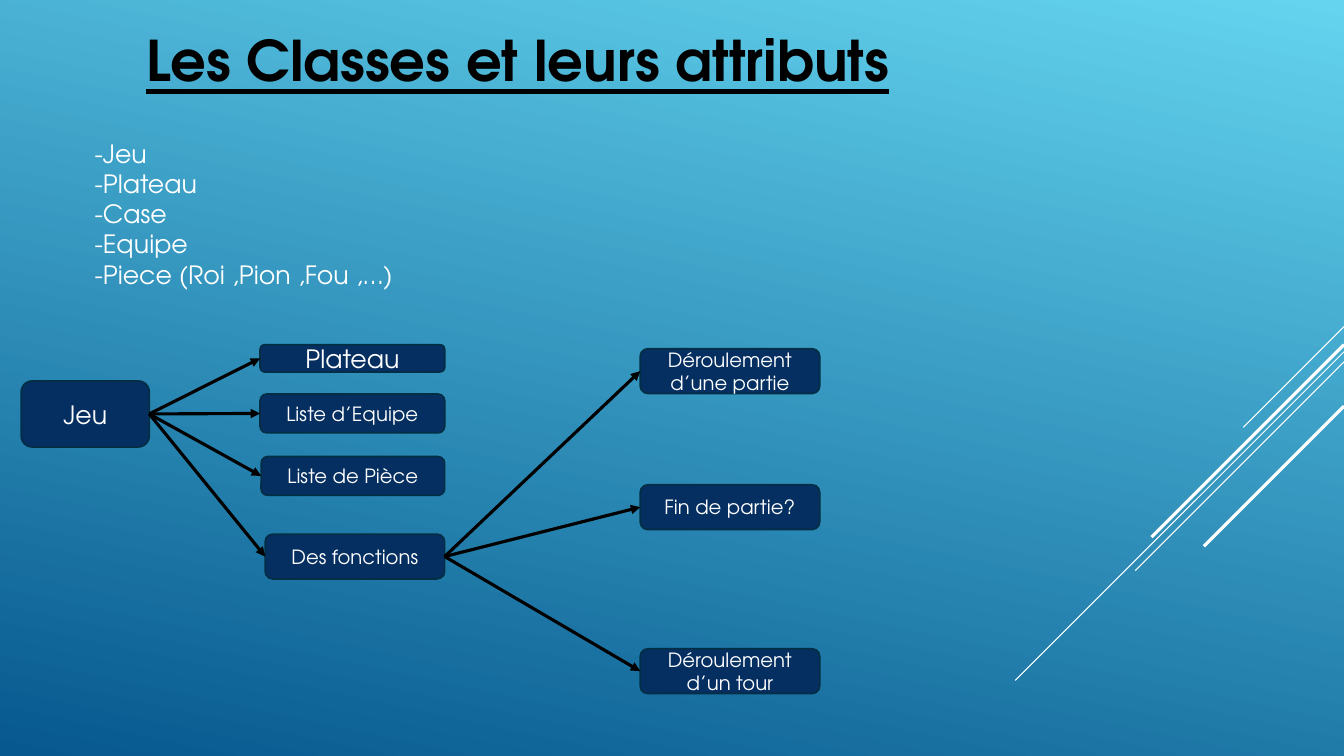
from dataclasses import dataclass

from lxml.etree import SubElement
from pptx import Presentation
from pptx.dml.color import RGBColor
from pptx.enum.shapes import MSO_CONNECTOR, MSO_SHAPE
from pptx.enum.text import MSO_ANCHOR, PP_ALIGN
from pptx.oxml.ns import qn
from pptx.util import Inches, Pt


@dataclass(frozen=True)
class Theme:
    font: str = "TeX Gyre Adventor"
    sky: str = "64D4EF"
    deep: str = "06588E"
    light: str = "FFFFFF"
    dark: str = "000000"
    node: str = "052F61"
    node_edge: str = "032E45"
    title: float = 40
    body: float = 18
    label: float = 14
    thin: float = 0.75
    edge: float = 1.25
    thick: float = 2.25


THEME = Theme()
LEFT_SITE, RIGHT_SITE = 1, 3


@dataclass(frozen=True)
class Box:
    left: int
    top: int
    width: int
    height: int

    def inner(self, left, top, width, height):
        """Return an inner box, given in percent of this one."""
        return Box(self.left + round(self.width * left / 100),
                   self.top + round(self.height * top / 100),
                   round(self.width * width / 100),
                   round(self.height * height / 100))

    def place(self):
        return self.left, self.top, self.width, self.height


def colour(code):
    return RGBColor.from_string(code)


def write(shape, text, size=THEME.body, ink=THEME.light, bold=False,
          underline=False, align=PP_ALIGN.LEFT, anchor=MSO_ANCHOR.TOP):
    frame = shape.text_frame
    frame.word_wrap = True
    frame.vertical_anchor = anchor
    frame.text = text
    for para in frame.paragraphs:
        para.alignment = align
        for span in para.runs:
            font = span.font
            font.name, font.size = THEME.font, Pt(size)
            font.bold, font.underline = bold, underline
            font.color.rgb = colour(ink)


def add_line(page, start, end, ink, weight):
    line = page.shapes.add_connector(MSO_CONNECTOR.STRAIGHT, *start, *end)
    line.line.color.rgb = colour(ink)
    line.line.width = Pt(weight)
    SubElement(line._element.spPr, qn("a:effectLst"))
    return line


def add_arrow(page, source, target):
    arrow = add_line(page, (0, 0), (0, 0), THEME.dark, THEME.thick)
    arrow.begin_connect(source, RIGHT_SITE)
    arrow.end_connect(target, LEFT_SITE)
    outline = arrow._element.spPr.find(qn("a:ln"))
    SubElement(outline, qn("a:tailEnd"), type="triangle")


def add_node(page, box, text, size=THEME.label):
    node = page.shapes.add_shape(MSO_SHAPE.ROUNDED_RECTANGLE, *box.place())
    node.shadow.inherit = False
    node.fill.solid()
    node.fill.fore_color.rgb = colour(THEME.node)
    node.line.color.rgb = colour(THEME.node_edge)
    node.line.width = Pt(THEME.edge)
    write(node, text, size=size, align=PP_ALIGN.CENTER,
          anchor=MSO_ANCHOR.MIDDLE)
    return node


def paint_background(page):
    fill = page.background.fill
    fill.gradient()
    fill.gradient_angle = 258
    for position, code in enumerate((THEME.sky, THEME.deep)):
        stop = fill.gradient_stops[position]
        stop.color.rgb = colour(code)
        stop.position = position


def draw_diagonals(page, box):
    """Draw 45 degree lines down from the right edge of the box."""
    right = box.left + box.width
    # Start and drop in percent of the box height
    for start, drop, weight in ((0, 28.49, THEME.thin),
                                (7.12, 92.88, THEME.thin),
                                (9.97, 59, THEME.thin),
                                (5.13, 54.4, THEME.thick),
                                (22.51, 39.6, THEME.thick)):
        top = box.top + round(box.height * start / 100)
        run = round(box.height * drop / 100)
        add_line(page, (right, top), (right - run, top + run),
                 THEME.light, weight)


def draw_title(page, box):
    write(page.shapes.add_textbox(*box.place()),
          "Les Classes et leurs attributs", size=THEME.title,
          ink=THEME.dark, bold=True, underline=True)


def draw_class_list(page, box):
    names = ("Jeu", "Plateau", "Case", "Equipe", "Piece (Roi ,Pion ,Fou ,…)")
    write(page.shapes.add_textbox(*box.place()),
          "\n".join(f"-{name}" for name in names))


def draw_class_tree(page, box):
    game = add_node(page, box.inner(0, 10.4, 16.04, 18.9), "Jeu", THEME.body)

    # Attributes of the game share one right edge
    attribute_right = 53.03
    for text, left, top, height, size in (
            ("Plateau", 29.92, 0, 7.8, THEME.body),
            ("Liste d’Equipe", 29.92, 14.16, 11.1, THEME.label),
            ("Liste de Pièce", 30.05, 32.08, 11.1, THEME.label),
            ("Des fonctions", 30.56, 54.34, 12.8, THEME.label)):
        attribute = add_node(
            page, box.inner(left, top, attribute_right - left, height),
            text, size)
        add_arrow(page, game, attribute)

    # Functions branch from the last attribute
    for text, top in (("Déroulement d’une partie", 1.16),
                      ("Fin de partie?", 40.17),
                      ("Déroulement d’un tour", 87.2)):
        function = add_node(page, box.inner(77.53, top, 22.47, 12.8), text)
        add_arrow(page, attribute, function)


def build_classes_slide(deck):
    page = deck.slides.add_slide(deck.slide_layouts[6])
    whole = Box(0, 0, deck.slide_width, deck.slide_height)
    paint_background(page)
    draw_diagonals(page, whole.inner(75.54, 43.2, 24.46, 46.8))
    draw_title(page, whole.inner(10.13, 2.67, 66.39, 10.27))
    draw_class_list(page, whole.inner(6.3, 17.6, 26.71, 25.6))
    draw_class_tree(page, whole.inner(1.58, 45.6, 59.41, 46.13))


def main():
    deck = Presentation()
    deck.slide_width, deck.slide_height = Inches(13.33), Inches(7.5)
    build_classes_slide(deck)
    deck.save("out.pptx")


if __name__ == "__main__":
    main()
